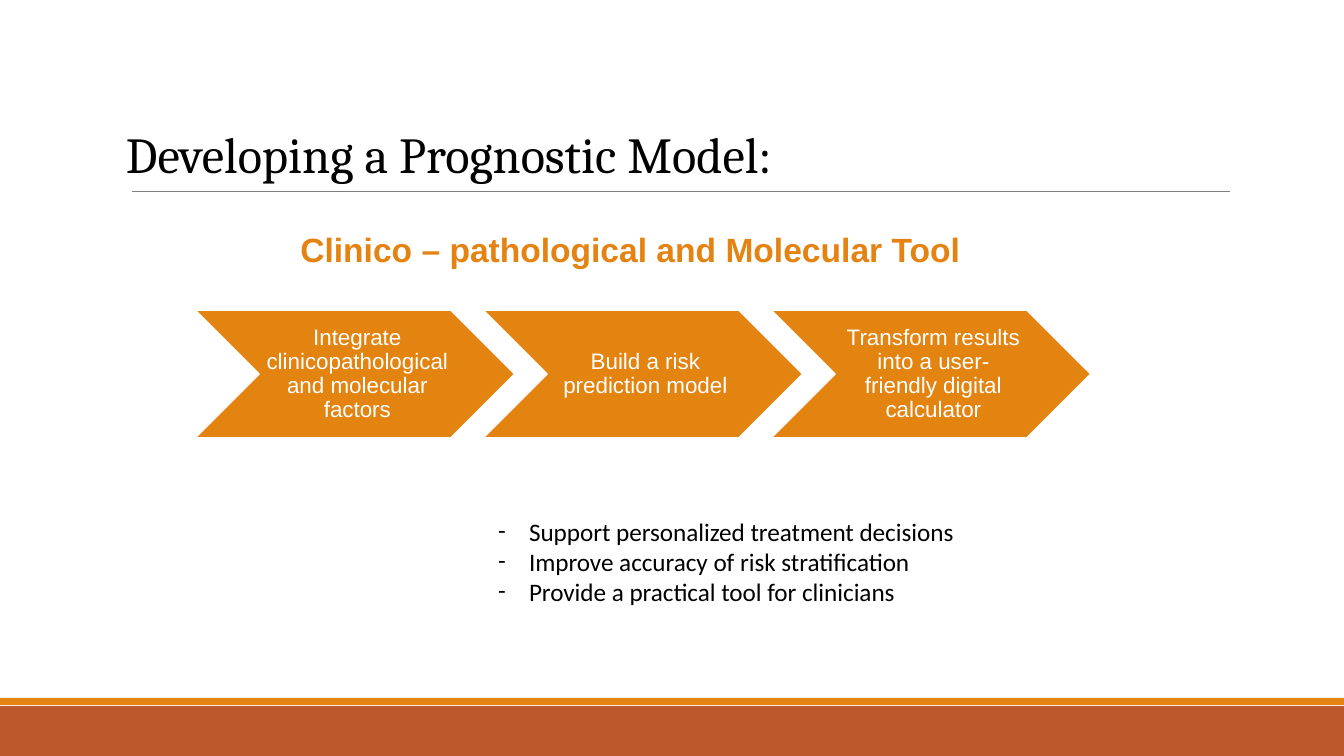
from lxml import etree
from pptx import Presentation
from pptx.dml.color import RGBColor
from pptx.enum.shapes import MSO_CONNECTOR, MSO_SHAPE
from pptx.enum.text import MSO_ANCHOR, MSO_AUTO_SIZE, PP_ALIGN
from pptx.oxml.ns import qn
from pptx.util import Emu, Pt

RECT, CHEVRON = MSO_SHAPE.RECTANGLE, MSO_SHAPE.CHEVRON
STRAIGHT = MSO_CONNECTOR.STRAIGHT
TOP, MIDDLE, BOTTOM = MSO_ANCHOR.TOP, MSO_ANCHOR.MIDDLE, MSO_ANCHOR.BOTTOM
LEFT, CENTER, JUSTIFY = PP_ALIGN.LEFT, PP_ALIGN.CENTER, PP_ALIGN.JUSTIFY
NO_FIT = MSO_AUTO_SIZE.NONE

BLACK = RGBColor(0x00, 0x00, 0x00)
WHITE = RGBColor(0xFF, 0xFF, 0xFF)
GRAY = RGBColor(0x7F, 0x7F, 0x7F)
AMBER = RGBColor(0xE4, 0x83, 0x12)
ORANGE = RGBColor(0xE3, 0x83, 0x10)
RUST = RGBColor(0xBD, 0x58, 0x2C)

STEPS = [
    "Integrate clinicopathological and molecular factors",
    "Build a risk prediction model",
    "Transform results into a user-friendly digital calculator",
]
GOALS = [
    "Support personalized treatment decisions",
    "Improve accuracy of risk stratification",
    "Provide a practical tool for clinicians",
]


def px(n):
    return Emu(round(n * 914400 / 134.4))


def place(shape, *box):
    shape.left, shape.top, shape.width, shape.height = map(px, box)


def add_dash(para):
    """Give a paragraph a hanging dash bullet."""
    props = para._p.get_or_add_pPr()
    props.set("marL", str(px(31)))
    props.set("indent", str(px(-31)))
    color = etree.SubElement(props, qn("a:buClr"))
    etree.SubElement(color, qn("a:srgbClr"), val=str(BLACK))
    etree.SubElement(props, qn("a:buFont"), typeface="Calibri")
    etree.SubElement(props, qn("a:buChar"), char="-")


def write(shape, lines, *, size, font="Arial", color=BLACK, bold=False,
          align=LEFT, anchor=TOP, pads=(9, 5, 9, 5), space=1.0, dash=False):
    frame = shape.text_frame
    frame.word_wrap = True
    frame.auto_size = NO_FIT
    frame.vertical_anchor = anchor
    (frame.margin_left, frame.margin_top,
     frame.margin_right, frame.margin_bottom) = map(px, pads)
    frame.text = "\n".join(lines)
    for para in frame.paragraphs:
        para.alignment = align
        para.line_spacing = space
        para.space_before = Pt(0)
        if dash:
            add_dash(para)
        for run in para.runs:
            run.font.name = font
            run.font.size = Pt(size)
            run.font.bold = bold
            run.font.color.rgb = color


def add_block(slide, kind, box, fill, line=None):
    shape = slide.shapes.add_shape(kind, *map(px, box))
    shape.shadow.inherit = False
    shape.fill.solid()
    shape.fill.fore_color.rgb = fill
    if line is None:
        shape.line.fill.background()
    else:
        shape.line.color.rgb = line
        shape.line.width = Pt(0.94)
    return shape


def add_rule(slide, left, right, y):
    rule = slide.shapes.add_connector(STRAIGHT, px(left), px(y), px(right), px(y))
    rule.line.color.rgb = GRAY
    rule.line.width = Pt(0.56)
    etree.SubElement(rule._element.spPr, qn("a:effectLst"))


def add_steps(slide):
    for i, step in enumerate(STEPS):
        arrow = add_block(slide, CHEVRON, (195 + 288 * i, 310, 320, 128), ORANGE, WHITE)
        write(arrow, [step], size=12, color=WHITE, align=CENTER, anchor=MIDDLE,
              pads=(7, 2, 2, 2), space=0.9)


def main():
    deck = Presentation()
    deck.slide_width, deck.slide_height = px(1344), px(756)
    slide = deck.slides.add_slide(deck.slide_layouts[1])
    title, body = slide.placeholders

    add_block(slide, RECT, (0, 706, 1344, 50), RUST)
    add_block(slide, RECT, (0, 698, 1344, 7), AMBER)
    add_rule(slide, 132, 1230, 192)

    place(title, 121, 98, 1109, 91)
    write(title, ["Developing a Prognostic Model:"], size=27, font="Cambria",
          anchor=BOTTOM, pads=(5, 5, 5, 5), space=0.85)

    add_steps(slide)

    head = slide.shapes.add_textbox(*map(px, (200, 224, 861, 51)))
    write(head, ["Clinico – pathological and Molecular Tool"], size=18,
          color=AMBER, bold=True, align=CENTER)

    place(body, 489, 511, 513, 102)
    write(body, GOALS, size=13.5, font="Calibri", align=JUSTIFY, dash=True)

    deck.save("out.pptx")


if __name__ == "__main__":
    main()
